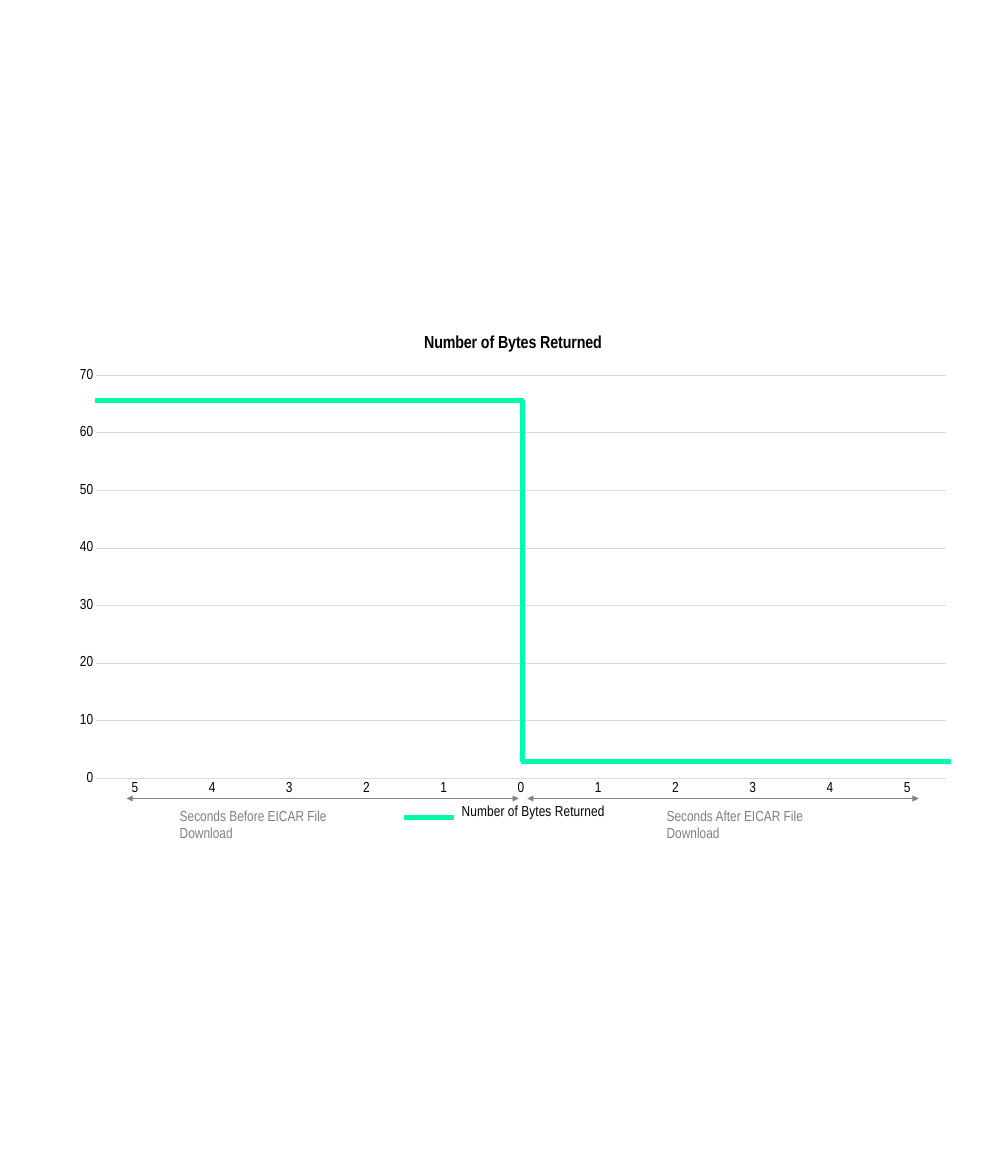
from lxml import etree
from pptx import Presentation
from pptx.chart.data import CategoryChartData
from pptx.dml.color import RGBColor
from pptx.enum.chart import XL_CHART_TYPE, XL_LEGEND_POSITION, XL_MARKER_STYLE, XL_TICK_MARK
from pptx.enum.shapes import MSO_CONNECTOR
from pptx.enum.text import MSO_AUTO_SIZE
from pptx.oxml import parse_xml
from pptx.oxml.ns import nsdecls, qn
from pptx.util import Pt

PX = 9525  # 96 px to the inch
LINE_CHART = XL_CHART_TYPE.LINE
BOTTOM = XL_LEGEND_POSITION.BOTTOM
NO_MARKER = XL_MARKER_STYLE.NONE
NO_TICK = XL_TICK_MARK.NONE
STRAIGHT = MSO_CONNECTOR.STRAIGHT
GROW = MSO_AUTO_SIZE.SHAPE_TO_FIT_TEXT

THEME = {
    "font": "Arial Narrow",
    "text": RGBColor(0x00, 0x00, 0x00),
    "muted": RGBColor(0x80, 0x80, 0x80),
    "grid": RGBColor(0xD9, 0xD9, 0xD9),
    "accent": RGBColor(0x00, 0xF9, 0xAB),
    "body_size": Pt(14),
    "title_size": Pt(16.8),
    "grid_width": Pt(0.75),
    "arrow_width": Pt(1.5),
    "accent_width": Pt(5),
}


def style_font(font, color, size=THEME["body_size"], bold=False):
    font.name = THEME["font"]
    font.size = size
    font.bold = bold
    font.color.rgb = color


def add_line(ends, color, width, arrows=False):
    line = s.shapes.add_connector(STRAIGHT, *[v * PX for v in ends])
    line.line.color.rgb = color
    line.line.width = width
    sp_pr = line._element.spPr
    if arrows:
        ln = sp_pr.find(qn("a:ln"))
        for tag in ("a:headEnd", "a:tailEnd"):
            etree.SubElement(ln, qn(tag), type="triangle")
    etree.SubElement(sp_pr, qn("a:effectLst"))


prs = Presentation()
prs.slide_width = 1280 * PX
prs.slide_height = 1514 * PX
s = prs.slides.add_slide(prs.slide_layouts[6])

# Chart
SERIES = "Number of Bytes Returned"
data = CategoryChartData()
data.categories = [str(abs(second)) for second in range(-5, 6)]
data.add_series(SERIES, [64] * 6 + [0] * 5)
left, top, width, height = 79, 408, 1163, 661
chart = s.shapes.add_chart(
    LINE_CHART, left * PX, top * PX, width * PX, height * PX, data).chart
style_font(chart.font, THEME["text"])

# Chart title and legend
chart.has_title = True
r = chart.chart_title.text_frame.paragraphs[0].add_run()
r.text = SERIES
style_font(r.font, THEME["text"], THEME["title_size"], True)
chart.chart_title.include_in_layout = False
chart.has_legend = True
chart.legend.position = BOTTOM
chart.legend.include_in_layout = False
style_font(chart.legend.font, THEME["text"])

# The thick step below stands in for the series line
series = chart.plots[0].series[0]
series.smooth = False
series.marker.style = NO_MARKER
series.format.line.fill.background()
chart.plots[0].vary_by_categories = False

# Axes
seconds, returned = chart.category_axis, chart.value_axis
returned.minimum_scale, returned.maximum_scale, returned.major_unit = 0, 70, 10
returned.has_major_gridlines = True
for axis in (seconds, returned):
    axis.major_tick_mark = axis.minor_tick_mark = NO_TICK
    style_font(axis.tick_labels.font, THEME["text"])
for rule in (seconds.format.line, returned.major_gridlines.format.line):
    rule.color.rgb = THEME["grid"]
    rule.width = THEME["grid_width"]
returned.format.line.fill.background()

# Places of the plot area and the legend, as shares of the chart
chart_xml = chart._chartSpace.chart
for part, index, target, place in (
    (chart_xml.plotArea, 0, '<c:layoutTarget val="inner"/>', (124, 483, 1094, 519)),
    (chart_xml.find(qn("c:legend")), 1, "", (573, 1034)),
):
    shares = {"x": (place[0] - left) / width, "y": (place[1] - top) / height}
    if len(place) == 4:
        shares.update(w=place[2] / width, h=place[3] / height)
    values = "".join(f'<c:{key} val="{share:.4f}"/>' for key, share in shares.items())
    for layout in part.findall(qn("c:layout")):
        part.remove(layout)
    part.insert(index, parse_xml(
        f'<c:layout {nsdecls("c")}><c:manualLayout>{target}<c:xMode val="edge"/>'
        f'<c:yMode val="edge"/>{values}</c:manualLayout></c:layout>'))

# Time arrows with captions
for start, end, text_left, text_width, caption in (
    (163, 668, 222, 260, "Seconds Before EICAR File Download"),
    (679, 1183, 849, 250, "Seconds After EICAR File Download"),
):
    add_line((start, 1028, end, 1028), THEME["muted"], THEME["arrow_width"], True)
    box = s.shapes.add_textbox(text_left * PX, 1034 * PX, text_width * PX, 33 * PX)
    tf = box.text_frame
    tf.word_wrap = True
    tf.auto_size = GROW
    r = tf.paragraphs[0].add_run()
    r.text = caption
    style_font(r.font, THEME["muted"])

# Step line and its legend key
for ends in (
    (122, 516, 675, 516),
    (673, 515, 673, 981),
    (671, 980, 1224, 980),
    (520, 1053, 585, 1053),
):
    add_line(ends, THEME["accent"], THEME["accent_width"])

prs.save("out.pptx")
